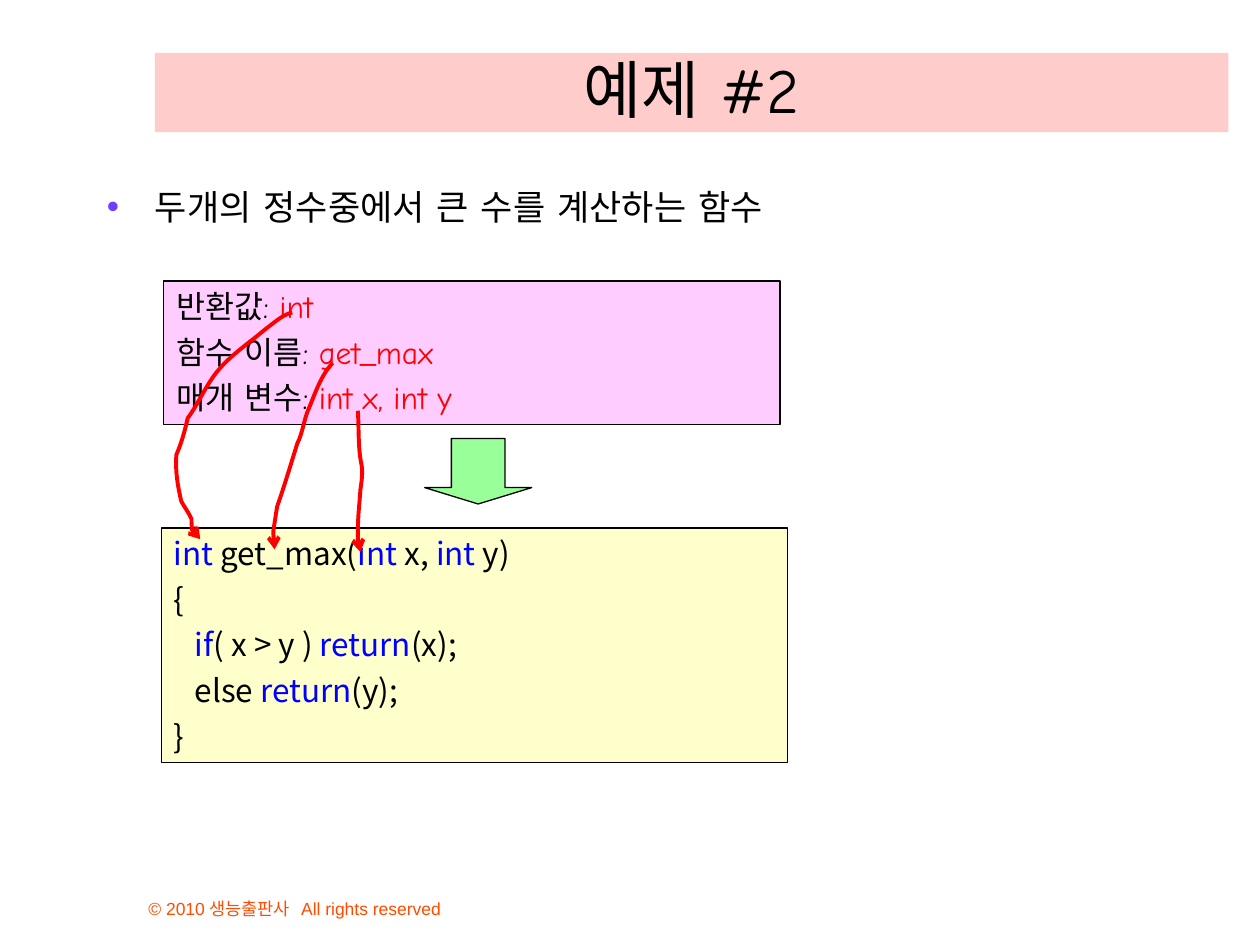
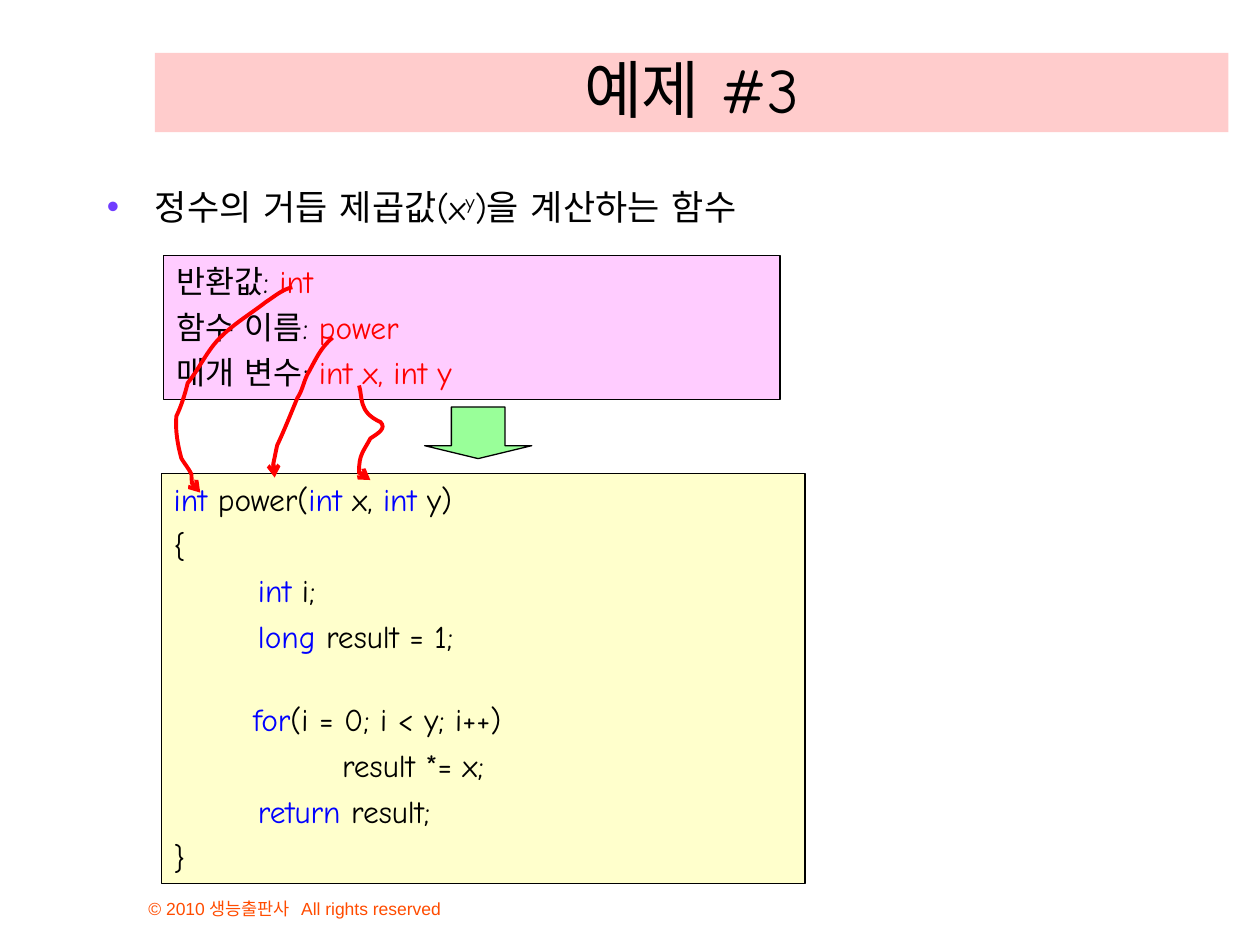
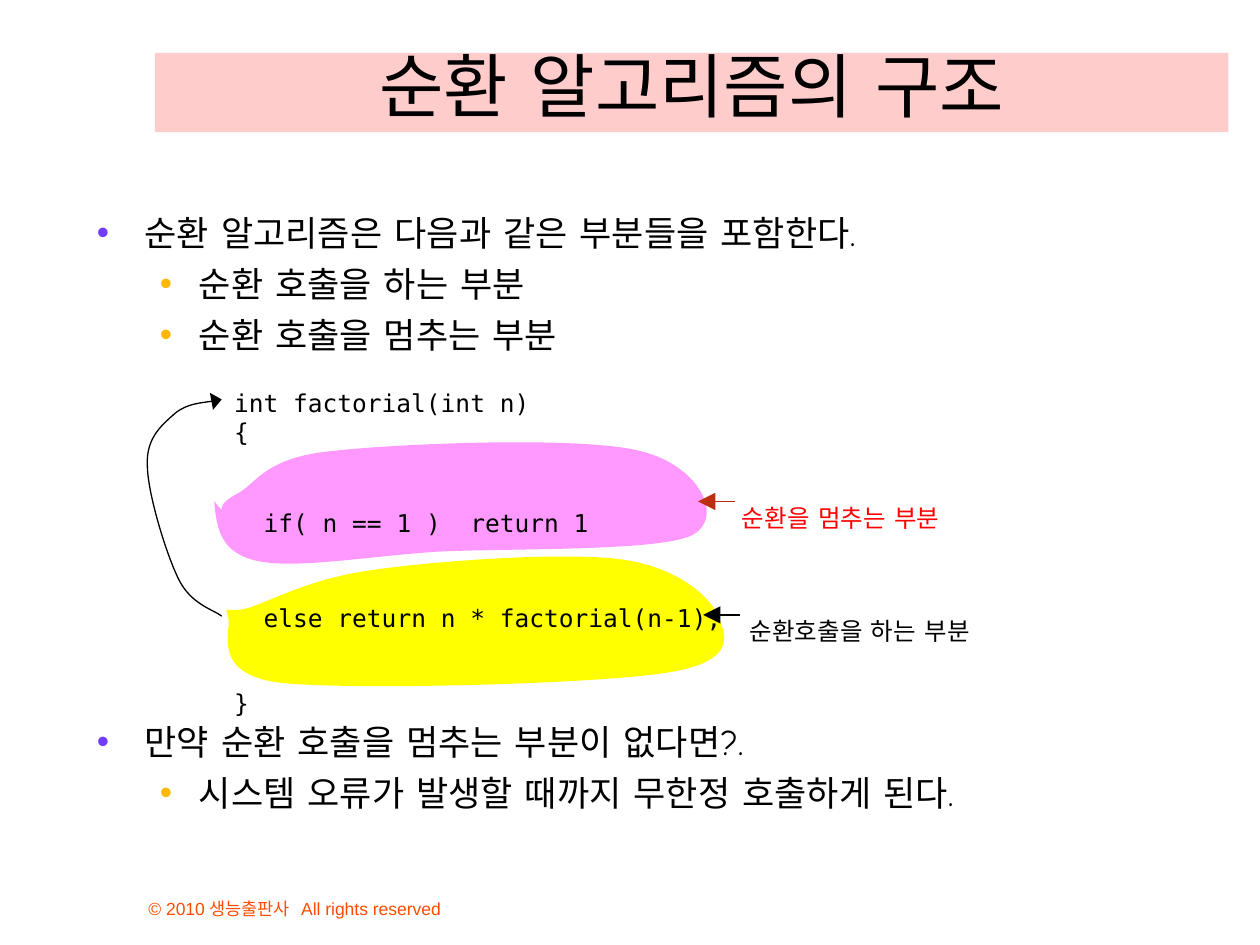
from dataclasses import dataclass

from lxml import etree
from pptx import Presentation, util as u
from pptx.dml.color import RGBColor
from pptx.enum import shapes, text
from pptx.oxml import ns


@dataclass(frozen=True)
class Theme:
    """Colours, fonts and type sizes of the lecture."""
    black: str = "000000"
    red: str = "FF0000"
    keyword: str = "0000FF"
    footer: str = "FF4C00"
    title_band: str = "FFCCCC"
    spec_fill: str = "FFCCFF"
    code_fill: str = "FFFFCC"
    down_arrow: str = "99FF99"
    stop_fill: str = "FF99FF"
    call_fill: str = "FFFF00"
    stop_arrow: str = "BD2E11"
    bullets: tuple = ("703DFF", "FFB800")
    bullet_indents: tuple = ((0.38, -0.38), (0.81, -0.31))
    hanging: tuple = (0.38, -0.38)
    font: str = "Comic Neue"
    korean: str = "Noto Sans CJK KR"
    mono: str = "DejaVu Sans Mono"
    plain: str = "Arial"
    title_size: int = 36
    long_title_size: int = 40
    body_size: int = 20
    box_size: int = 18
    label_size: int = 14
    footer_size: int = 10
    thin: float = 0.75
    thick: float = 2.25


THEME = Theme()

RETURN_TYPE_CURVE = [
    (2.32, 2.48), (2.24, 2.5), (2.18, 2.56), (2.11, 2.61),
    (1.97, 2.73), (1.81, 2.83), (1.7, 2.98), (1.62, 3.09), (1.57, 3.21), (1.49, 3.32),
    (1.47, 3.41), (1.44, 3.52), (1.4, 3.61), (1.39, 3.73), (1.41, 3.86), (1.44, 3.98),
    (1.46, 4.02), (1.5, 4.07), (1.52, 4.12), (1.52, 4.13), (1.52, 4.23), (1.54, 4.25),
    (1.55, 4.26), (1.59, 4.28), (1.59, 4.28)]
NAME_CURVE = [
    (2.64, 2.88), (2.54, 2.99), (2.5, 3.13), (2.44, 3.27),
    (2.41, 3.35), (2.4, 3.44), (2.36, 3.52), (2.31, 3.68), (2.26, 3.85), (2.2, 4.02),
    (2.19, 4.08), (2.18, 4.15), (2.17, 4.21), (2.17, 4.26), (2.18, 4.36), (2.18, 4.36)]
MAX_PARAMETER_CURVE = [
    (2.84, 3.26), (2.85, 3.39), (2.84, 3.56), (2.87, 3.69),
    (2.88, 3.76), (2.87, 3.82), (2.86, 3.89), (2.85, 4.05), (2.84, 4.08), (2.84, 4.27),
    (2.84, 4.31), (2.86, 4.34), (2.86, 4.38)]
POWER_PARAMETER_CURVE = [
    (2.85, 3.06), (2.88, 3.15), (2.84, 3.27), (3.02, 3.35),
    (3.07, 3.4), (3, 3.44), (2.94, 3.48), (2.88, 3.59), (2.85, 3.61), (2.85, 3.74),
    (2.85, 3.77), (2.94, 3.79), (2.94, 3.81)]
CALL_BLOB = [
    (1.81, 4.89), (1.78, 4.79), (1.79, 4.88), (1.99, 4.82),
    (2.19, 4.75), (2.5, 4.58), (2.99, 4.52), (3.48, 4.45), (4.48, 4.38), (4.93, 4.44),
    (5.38, 4.5), (5.64, 4.74), (5.7, 4.89), (5.76, 5.04), (5.86, 5.25), (5.29, 5.34),
    (4.71, 5.43), (2.81, 5.48), (2.23, 5.42), (1.65, 5.35), (1.85, 4.99), (1.81, 4.89)]
STOP_BLOB = [
    (1.76, 4.05), (1.76, 4.02), (1.75, 3.99), (1.9, 3.91),
    (2.04, 3.83), (2.11, 3.63), (2.64, 3.58), (3.17, 3.52), (4.61, 3.46), (5.08, 3.58),
    (5.55, 3.69), (5.76, 4.11), (5.49, 4.25), (5.22, 4.38), (4.03, 4.35), (3.46, 4.38),
    (2.88, 4.42), (2.33, 4.52), (2.03, 4.45), (1.74, 4.38), (1.72, 4.18), (1.7, 3.98)]
RECURSION_CURVE = [
    (1.76, 4.89), (1.7, 4.84), (1.52, 4.8), (1.42, 4.6),
    (1.32, 4.4), (1.17, 3.91), (1.17, 3.69), (1.16, 3.47), (1.29, 3.37), (1.39, 3.28),
    (1.49, 3.2), (1.68, 3.19), (1.76, 3.17)]


def inches(values):
    """Turn numbers into lengths."""
    return [u.Inches(value) for value in values]


def set_indent(paragraph, left, first, bullet=None):
    """Indent a paragraph and give it an optional coloured bullet."""
    properties = paragraph._p.get_or_add_pPr()
    properties.set("marL", str(u.Inches(left)))
    properties.set("indent", str(u.Inches(first)))
    if bullet:
        colour = etree.SubElement(properties, ns.qn("a:buClr"))
        etree.SubElement(colour, ns.qn("a:srgbClr")).set("val", bullet)
        etree.SubElement(properties, ns.qn("a:buFont")).set("typeface", THEME.plain)
        etree.SubElement(properties, ns.qn("a:buChar")).set("char", "•")


def add_run(paragraph, words, font, size, colour, baseline=None):
    """Add one formatted run."""
    run = paragraph.add_run()
    run.text = words
    run.font.name = font
    run.font.size = u.Pt(size)
    run.font.color.rgb = RGBColor.from_string(colour)
    etree.SubElement(run.font._element, ns.qn("a:ea")).set("typeface", THEME.font)
    if baseline:
        run.font._element.set("baseline", str(baseline))


def write_text(shape, lines, *, font=THEME.font, size=THEME.box_size, colour=THEME.black,
               accent=THEME.black, accent_baseline=None, align=text.PP_ALIGN.LEFT,
               anchor=text.MSO_ANCHOR.TOP, wrap=True, indent=None, levels=None,
               space_before=0, line_spacing=None):
    """Write lines into a shape; parts between bars take the accent format."""
    frame = shape.text_frame
    frame.word_wrap = wrap
    frame.vertical_anchor = anchor
    if not wrap:
        frame.auto_size = text.MSO_AUTO_SIZE.SHAPE_TO_FIT_TEXT
    for index, line in enumerate(lines):
        paragraph = frame.add_paragraph() if index else frame.paragraphs[0]
        if levels:
            level = levels[index]
            paragraph.level = level
            set_indent(paragraph, *THEME.bullet_indents[level], THEME.bullets[level])
        elif indent:
            set_indent(paragraph, *indent)
        paragraph.alignment = align
        paragraph.space_before = u.Pt(space_before if index else 0)
        if line_spacing:
            paragraph.line_spacing = line_spacing
        if line.startswith("\n"):
            paragraph.add_line_break()
        for part, words in enumerate(line.lstrip("\n").split("|")):
            if words and part % 2:
                add_run(paragraph, words, font, size, accent, accent_baseline)
            elif words:
                add_run(paragraph, words, font, size, colour)


def add_text(slide, place, lines, **style):
    """Add a text box."""
    write_text(slide.shapes.add_textbox(*inches(place)), lines, **style)


def paint(shape, fill=None, line=None, width=THEME.thin):
    """Set the fill and outline of a shape without a shadow."""
    shape.shadow.inherit = False
    if fill:
        shape.fill.solid()
        shape.fill.fore_color.rgb = RGBColor.from_string(fill)
    else:
        shape.fill.background()
    if line:
        shape.line.color.rgb = RGBColor.from_string(line)
        shape.line.width = u.Pt(width)
    else:
        shape.line.fill.background()


def add_box(slide, place, fill, line=None, kind=shapes.MSO_SHAPE.RECTANGLE):
    """Add a painted preset shape."""
    shape = slide.shapes.add_shape(kind, *inches(place))
    paint(shape, fill, line)
    return shape


def add_arrowhead(line, kind, width="med", length="med"):
    """Put an arrowhead at the end of a line."""
    head = etree.SubElement(line._get_or_add_ln(), ns.qn("a:tailEnd"))
    for name, value in (("type", kind), ("w", width), ("len", length)):
        head.set(name, value)


def bend_segments(shape):
    """Join every three straight segments of an outline into one cubic curve."""
    segments = list(shape._element.iter(ns.qn("a:lnTo")))
    for first in range(0, len(segments), 3):
        curve = etree.Element(ns.qn("a:cubicBezTo"))
        segments[first].addprevious(curve)
        for segment in segments[first:first + 3]:
            curve.append(segment[0])
            segment.getparent().remove(segment)


def add_curve(slide, points, close=False, head=None, head_width="med", **look):
    """Draw a curved outline with an optional arrowhead."""
    builder = slide.shapes.build_freeform(*inches(points[0]))
    builder.add_line_segments([inches(point) for point in points[1:]], close=close)
    shape = builder.convert_to_shape()
    bend_segments(shape)
    paint(shape, **look)
    if head:
        add_arrowhead(shape.line, head, head_width)


def fit_vertically(points, top, height):
    """Move and stretch a curve to a new top and height."""
    first, last = points[0][1], points[-1][1]
    return [(x, top + (y - first) * height / (last - first)) for x, y in points]


def add_label_arrow(slide, right, y, colour):
    """Draw a short arrow pointing left from a label."""
    connector = slide.shapes.add_connector(
        shapes.MSO_CONNECTOR.STRAIGHT, *inches((right, y, right - 0.29, y)))
    connector.line.color.rgb = RGBColor.from_string(colour)
    connector.line.width = u.Pt(THEME.thin)
    add_arrowhead(connector.line, "triangle", "lg", "lg")
    etree.SubElement(connector._element.spPr, ns.qn("a:effectLst"))


def add_bullets(slide, place, lines, levels, **style):
    """Add a bulleted list."""
    add_text(slide, place, lines, levels=levels, size=THEME.body_size, space_before=5, **style)


def new_slide(presentation, title, title_size=THEME.title_size):
    """Start a slide with its footer and title band."""
    slide = presentation.slides.add_slide(presentation.slide_layouts[6])
    add_text(slide, (1.08, 6.92, 3.83, 0.42), ["© 2010 생능출판사  All rights reserved"],
             font=THEME.plain, size=THEME.footer_size, colour=THEME.footer,
             anchor=text.MSO_ANCHOR.BOTTOM)
    band = add_box(slide, (1.23, 0.42, 8.52, 0.63), THEME.title_band)
    write_text(band, [title], size=title_size, align=text.PP_ALIGN.CENTER,
               anchor=text.MSO_ANCHOR.BOTTOM)
    return slide


def add_example(presentation, title, task, name, code, *, spec_top, code_place, arrow_place,
                curves, code_font=THEME.font):
    """Build a slide that turns a function description into code."""
    slide = new_slide(presentation, title)
    add_bullets(slide, (0.75, 1.46, 8.98, 0.41), [task], [0], line_spacing=0.9,
                accent_baseline=30000)
    box_style = dict(indent=THEME.hanging, space_before=4.5)
    spec = add_box(slide, (1.3, spec_top, 4.89, 1.14), THEME.spec_fill, THEME.black)
    write_text(spec, ["반환값: |int|", f"함수 이름:| {name}|", "매개 변수: |int x, int y|"],
               accent=THEME.red, **box_style)
    code_box = add_box(slide, code_place, THEME.code_fill, THEME.black)
    write_text(code_box, code, font=code_font, accent=THEME.keyword, **box_style)
    arrow = add_box(slide, arrow_place, THEME.down_arrow, THEME.black,
                    shapes.MSO_SHAPE.DOWN_ARROW)
    arrow.adjustments[1] = 0.25
    for curve in curves:
        add_curve(slide, curve, head="arrow", line=THEME.red, width=THEME.thick)


def add_recursion(presentation):
    """Build the slide on the structure of recursive algorithms."""
    slide = new_slide(presentation, "순환 알고리즘의 구조", THEME.long_title_size)
    add_bullets(slide, (0.67, 1.63, 8.66, 1.33),
                ["순환 알고리즘은 다음과 같은 부분들을 포함한다.", "순환 호출을 하는 부분",
                 "순환 호출을 멈추는 부분"], [0, 1, 1])
    add_curve(slide, CALL_BLOB, close=True, fill=THEME.call_fill)
    add_curve(slide, STOP_BLOB, fill=THEME.stop_fill)
    for top, width, height, lines in (
            (4.52, 4.12, 0.76, ["  else return n * factorial(n-1);"]),
            (2.86, 2.56, 0.9, ["int factorial(int n)", "{"]),
            (5.34, 0.27, 0.48, ["}"]),
            (3.77, 4.12, 0.75, ["  if( n == 1 )  return 1"])):
        add_text(slide, (1.76, top, width, height), lines, font=THEME.mono,
                 size=THEME.label_size, anchor=text.MSO_ANCHOR.MIDDLE)
    for left, top, width, label, colour, arrow_right, arrow_y, arrow_colour in (
            (5.79, 3.94, 1.83, "순환을 멈추는 부분", THEME.red, 5.83, 3.98, THEME.stop_arrow),
            (5.85, 4.84, 2.01, "순환호출을 하는 부분", THEME.black, 5.87, 4.88, THEME.black)):
        add_text(slide, (left, top, width, 0.34), [label], font=THEME.korean,
                 size=THEME.label_size, colour=colour, wrap=False)
        add_label_arrow(slide, arrow_right, arrow_y, arrow_colour)
    add_curve(slide, RECURSION_CURVE, head="triangle", head_width="lg", line=THEME.black)
    add_bullets(slide, (0.67, 5.67, 8.66, 1.33),
                ["만약 순환 호출을 멈추는 부분이 없다면?.",
                 "시스템 오류가 발생할 때까지 무한정 호출하게 된다."], [0, 1])


def main():
    """Build and save the presentation."""
    presentation = Presentation()
    presentation.slide_width = u.Inches(10)
    presentation.slide_height = u.Inches(7.5)
    add_example(
        presentation, "예제 #2", "두개의 정수중에서 큰 수를 계산하는 함수", "get_max",
        ["|int| get_max(|int| x, |int| y)", "{", "   |if|( x > y ) |return|(x);",
         "   else |return|(y);", "}"],
        spec_top=2.23, code_place=(1.28, 4.19, 4.97, 1.86),
        arrow_place=(3.37, 3.48, 0.85, 0.52), code_font=THEME.korean,
        curves=[RETURN_TYPE_CURVE, NAME_CURVE, MAX_PARAMETER_CURVE])
    add_example(
        presentation, "예제 #3", "정수의 거듭 제곱값(x|y|)을 계산하는 함수", "power",
        ["|int| power(|int| x, |int| y)", "{", "        |int| i;",
         "        |long| result = 1;", "\n   |for|(i = 0; i < y; i++)",
         "                result *= x;", "        |return| result;", "}"],
        spec_top=2.03, code_place=(1.28, 3.76, 5.11, 3.25),
        arrow_place=(3.37, 3.23, 0.85, 0.41),
        curves=[fit_vertically(RETURN_TYPE_CURVE, 2.28, 1.63),
                fit_vertically(NAME_CURVE, 2.68, 1.11), POWER_PARAMETER_CURVE])
    add_recursion(presentation)
    presentation.save("out.pptx")


if __name__ == "__main__":
    main()
